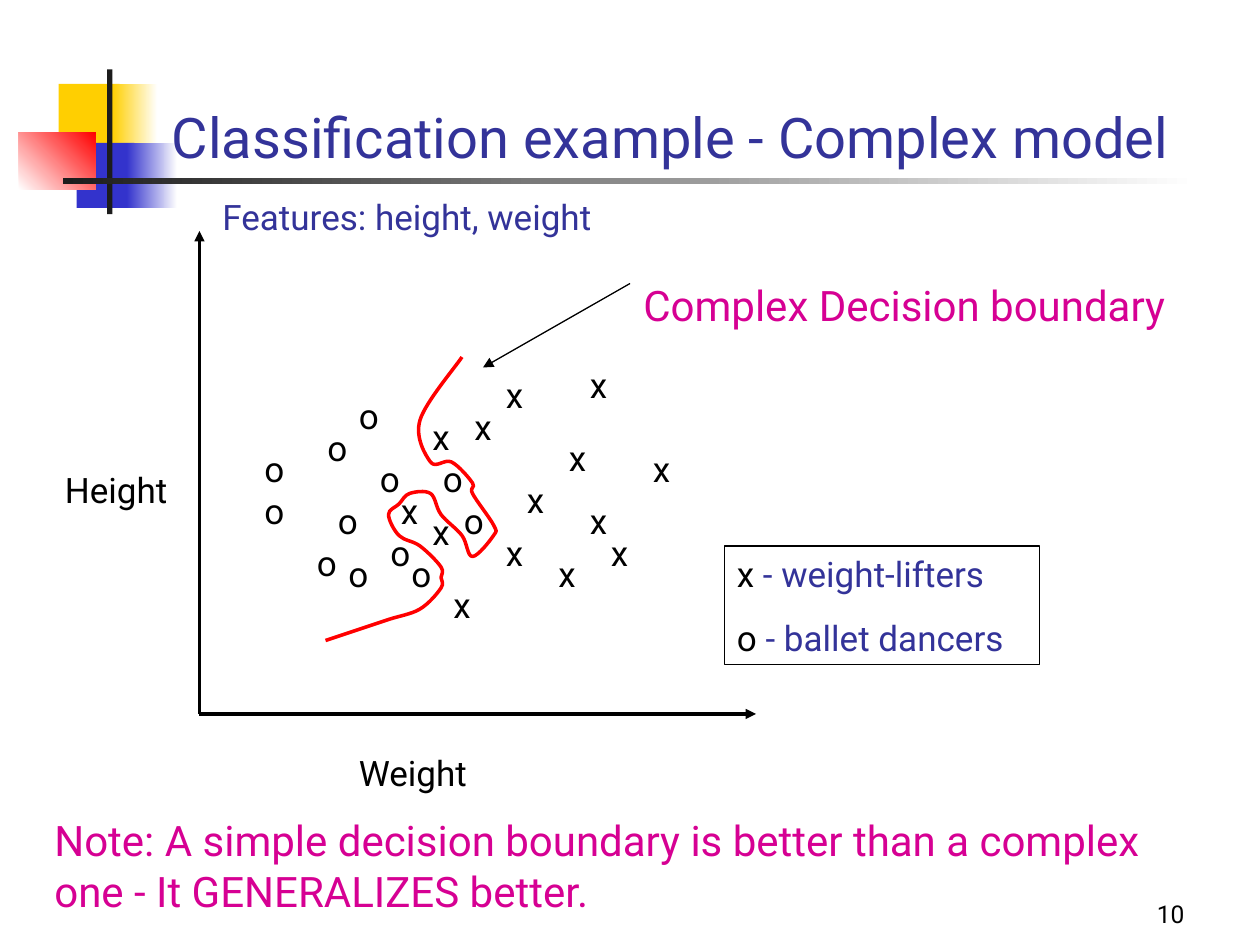
from lxml.etree import SubElement
from pptx import Presentation
from pptx.dml.color import RGBColor
from pptx.enum.shapes import MSO_CONNECTOR as CONN, MSO_SHAPE as SHAPE
from pptx.enum.text import MSO_ANCHOR as ANCHOR, PP_ALIGN as ALIGN
from pptx.oxml.ns import qn
from pptx.util import Pt

PX = 7620
FONT = "Roboto"
BLACK = RGBColor(0x00, 0x00, 0x00)
WHITE = RGBColor(0xFF, 0xFF, 0xFF)
CHARCOAL = RGBColor(0x1C, 0x1C, 0x1C)
YELLOW = RGBColor(0xFF, 0xCF, 0x01)
BLUE = RGBColor(0x33, 0x33, 0xCC)
NAVY = RGBColor(0x33, 0x33, 0x99)
RED = RGBColor(0xFF, 0x00, 0x00)
MAGENTA = RGBColor(0xD6, 0x00, 0x93)

DECOR = [
    ((56, 80, 58, 62), [YELLOW], 0),
    ((107, 80, 43, 62), [YELLOW, WHITE], 0),
    ((73, 136, 55, 62), [BLUE], 0),
    ((121, 136, 48, 62), [BLUE, WHITE], 0),
    ((18, 126, 73, 55), [WHITE, RED], 45),
    ((102, 66, 5, 138), [CHARCOAL], 0),
    ((60, 170, 1080, 5), [CHARCOAL, WHITE], 0),
]
LIFTERS = [(440, 380), (470, 350), (400, 480), (470, 500), (520, 520),
           (570, 500), (490, 450), (530, 410), (610, 420), (400, 390),
           (550, 340), (370, 460), (420, 550), (550, 470)]
DANCERS = [(240, 420), (330, 370), (350, 430), (430, 470), (240, 460),
           (290, 510), (360, 500), (310, 470), (410, 430), (300, 400),
           (380, 520), (320, 520)]
BOUNDARY = [(440, 340), (400, 400), (410, 440), (430, 440), (450, 460),
            (450, 470), (470, 500), (470, 510), (450, 530), (440, 510),
            (420, 490), (410, 470), (390, 470), (380, 480), (370, 490),
            (380, 510), (400, 520), (420, 540), (420, 550), (420, 560),
            (400, 580), (370, 590), (340, 600), (310, 610)]


def emu(*lengths):
    """Turn px lengths into EMU."""
    return [n * PX for n in lengths]


def add_block(s, box, colors, angle):
    """Add a borderless rectangle, solid or with a two-colour gradient."""
    sp = s.shapes.add_shape(SHAPE.RECTANGLE, *emu(*box))
    sp.shadow.inherit = False
    sp.line.fill.background()
    if len(colors) == 1:
        sp.fill.solid()
        sp.fill.fore_color.rgb = colors[0]
        return
    sp.fill.gradient()
    sp.fill.gradient_angle = angle
    for stop, color in zip(sp.fill.gradient_stops, colors):
        stop.color.rgb = color


def add_text(s, box, paragraphs, size=20, align=ALIGN.LEFT,
             anchor=ANCHOR.TOP, wrap=True, before=0):
    """Add a text box whose paragraphs are lists of (text, colour) runs."""
    sp = s.shapes.add_textbox(*emu(*box))
    tf = sp.text_frame
    tf.word_wrap = wrap
    tf.vertical_anchor = anchor
    for i, runs in enumerate(paragraphs):
        p = tf.add_paragraph() if i else tf.paragraphs[0]
        p.alignment = align
        p.space_before = Pt(before)
        for text, color in runs:
            r = p.add_run()
            r.text = text
            r.font.name = FONT
            r.font.size = Pt(size)
            r.font.color.rgb = color
    return sp


def add_arrow(s, start, end, width):
    """Add a black line with a triangle head at its end."""
    c = s.shapes.add_connector(CONN.STRAIGHT, *emu(*start, *end))
    c.line.color.rgb = BLACK
    c.line.width = Pt(width)
    SubElement(c.line._get_or_add_ln(), qn("a:tailEnd"), type="triangle")
    SubElement(c._element.spPr, qn("a:effectLst"))


def add_curve(s, points, color, width):
    """Add an open smooth curve through the points."""
    fb = s.shapes.build_freeform(*emu(*points[0]))
    fb.add_line_segments([emu(*pt) for pt in points[1:]], close=False)
    sp = fb.convert_to_shape()
    sp.shadow.inherit = False
    sp.fill.background()
    sp.line.color.rgb = color
    sp.line.width = Pt(width)
    path = next(sp._element.iter(qn("a:path")))
    pts = [(int(e.get("x")), int(e.get("y"))) for e in path.iter(qn("a:pt"))]
    for line in path.findall(qn("a:lnTo")):
        path.remove(line)
    ends = [pts[0], *pts, pts[-1]]
    for a, b, c, d in zip(ends, ends[1:], ends[2:], ends[3:]):
        bez = SubElement(path, qn("a:cubicBezTo"))
        out = [q + (r - o) // 6 for o, q, r in zip(a, b, c)]
        back = [q - (r - o) // 6 for o, q, r in zip(b, c, d)]
        for x, y in (out, back, c):
            SubElement(bez, qn("a:pt"), x=str(x), y=str(y))


def add_markers(s, letter, places, width):
    """Scatter one letter over the plot."""
    for x, y in places:
        add_text(s, (x, y, width, 53), [[(letter, BLACK)]])


def add_legend(s):
    """Add the framed key to the two letters."""
    rows = [[("x ", BLACK), ("- weight-lifters", NAVY)],
            [("o ", BLACK), ("- ballet dancers", NAVY)]]
    sp = add_text(s, (690, 520, 300, 113), rows, before=12.5)
    sp.line.color.rgb = BLACK
    sp.line.width = Pt(0.75)


def main():
    """Build the slide and save it."""
    prs = Presentation()
    prs.slide_width, prs.slide_height = emu(1200, 900)
    s = prs.slides.add_slide(prs.slide_layouts[6])
    for box, colors, angle in DECOR:
        add_block(s, box, colors, angle)
    add_text(s, (890, 830, 250, 60), [[("10", BLACK)]], 14,
             ALIGN.RIGHT, ANCHOR.BOTTOM)
    add_text(s, (152, 80, 1022, 88),
             [[("Classification example - Complex model", NAVY)]], 32,
             anchor=ANCHOR.BOTTOM)
    origin = (190, 680)
    add_arrow(s, origin, (190, 220), 1.75)
    add_arrow(s, origin, (720, 680), 1.75)
    add_text(s, (330, 710, 170, 53), [[("Weight", BLACK)]])
    add_text(s, (50, 440, 140, 53), [[("Height", BLACK)]])
    add_markers(s, "x", LIFTERS, 50)
    add_markers(s, "o", DANCERS, 40)
    add_legend(s)
    add_text(s, (601, 260, 552, 60),
             [[("Complex Decision boundary", MAGENTA)]], 24, wrap=False)
    add_arrow(s, (600, 270), (460, 350), 0.75)
    add_curve(s, BOUNDARY, RED, 2)
    add_text(s, (200, 180, 403, 53),
             [[("Features: height, weight", NAVY)]], wrap=False)
    add_text(s, (40, 770, 1130, 108),
             [[("Note: A simple decision boundary is better than a complex "
                "one - It GENERALIZES better.", MAGENTA)]], 24)
    prs.save("out.pptx")


if __name__ == "__main__":
    main()
